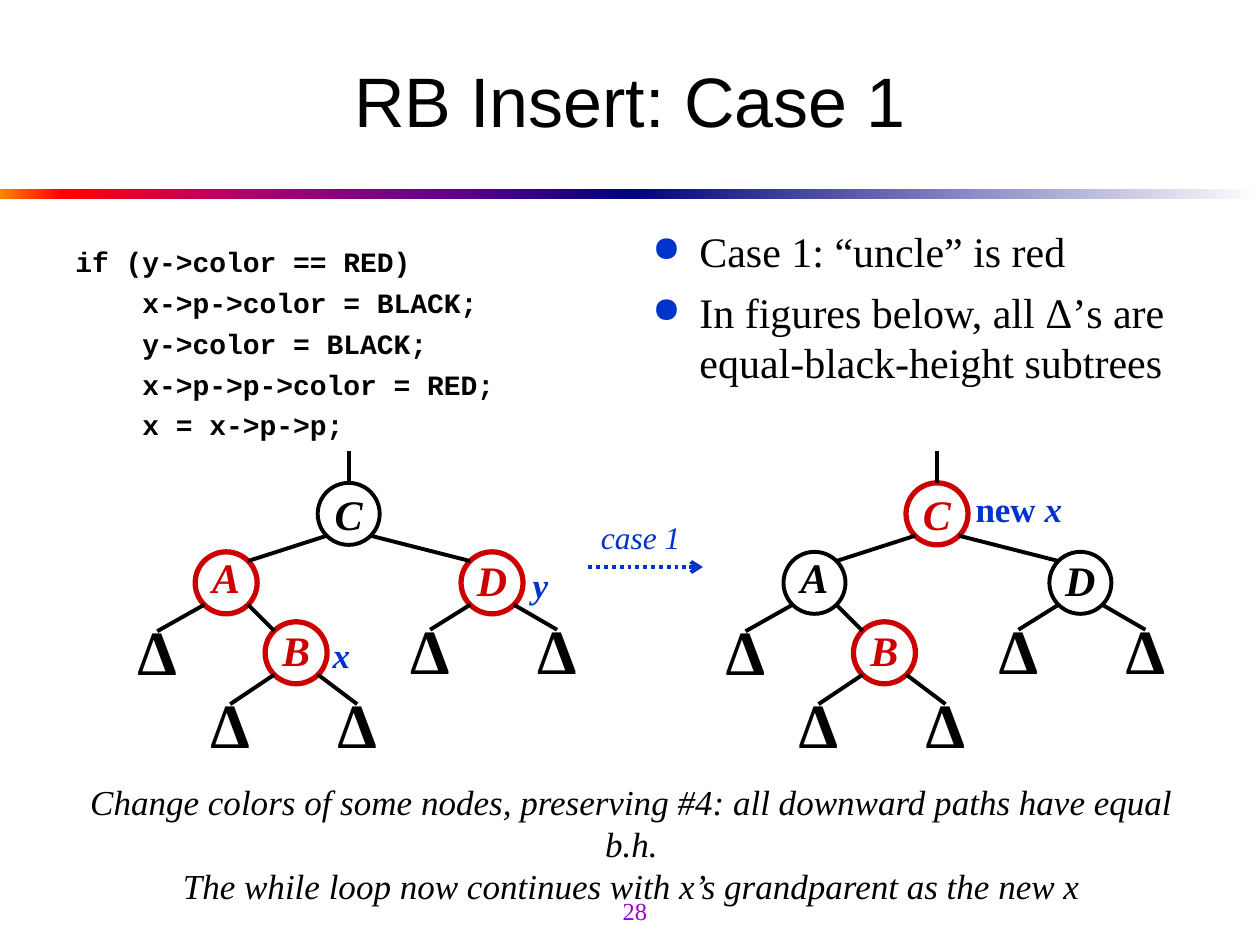
import pptx
import pptx.util
import pptx.dml.color
import pptx.enum.dml
import pptx.enum.shapes
import pptx.enum.text
import pptx.oxml
import pptx.oxml.ns
from lxml import etree

Cm, Pt = pptx.util.Cm, pptx.util.Pt
RGBColor = pptx.dml.color.RGBColor
qn = pptx.oxml.ns.qn
ALIGN = pptx.enum.text.PP_ALIGN
ANCHOR = pptx.enum.text.MSO_ANCHOR
SHAPE = pptx.enum.shapes.MSO_SHAPE

BLACK = RGBColor(0, 0, 0)
WHITE = RGBColor(255, 255, 255)
RED = RGBColor(0xCC, 0, 0)
BLUE = RGBColor(0, 0x33, 0xCC)
PURPLE = RGBColor(0x99, 0, 0xCC)

SERIF = "Times New Roman"
MATH = {"name": SERIF, "bold": True, "italic": True}

prs = pptx.Presentation()
prs.slide_width, prs.slide_height = Cm(25.4), Cm(19.05)
s = prs.slides.add_slide(prs.slide_layouts[6])


def add_text(sp, lines, fmt, color, para, frame):
    """Write lines, each a list of (text, extra font values), into a shape."""
    tf = sp.text_frame
    for key, value in frame.items():
        setattr(tf, key, value)
    for i, runs in enumerate(lines):
        p = tf.paragraphs[0] if i == 0 else tf.add_paragraph()
        for key, value in para.items():
            if i > 0 or key != "space_before":
                setattr(p, key, value)
        for text, extra in runs:
            r = p.add_run()
            r.text = text
            r.font.color.rgb = color
            for key, value in {**fmt, **extra}.items():
                setattr(r.font, key, value)
    return tf


def add_line(x1, y1, x2, y2, color=BLACK):
    c = s.shapes.add_connector(pptx.enum.shapes.MSO_CONNECTOR.STRAIGHT,
                               Cm(x1), Cm(y1), Cm(x2), Cm(y2))
    c.line.color.rgb = color
    c.line.width = Pt(2.25)
    etree.SubElement(c._element.spPr, qn("a:effectLst"))
    return c


# Gradient rule under the title
bars = [
    (0, [(0, "FF8200"), (10, "FF0000"), (35, "BA0066"), (70, "66008F"), (100, "000082")]),
    (12.7, [(0, "000082"), (100, "FFFFFF")]),
]
for left, stops in bars:
    sp = s.shapes.add_shape(SHAPE.RECTANGLE, Cm(left), Cm(3.81), Cm(12.7), Cm(0.2))
    sp.shadow.inherit = False
    sp.line.fill.background()
    sp.fill.gradient()
    sp.fill.gradient_angle = 0
    gs_list = sp._element.spPr.find(".//" + qn("a:gsLst"))
    for gs in list(gs_list):
        gs_list.remove(gs)
    for pos, rgb in stops:
        gs = etree.SubElement(gs_list, qn("a:gs"), pos=str(pos * 1000))
        etree.SubElement(gs, qn("a:srgbClr"), val=rgb)

# Title
sp = s.shapes.add_textbox(Cm(1.27), Cm(0.64), Cm(22.86), Cm(2.75))
add_text(sp, [[("RB Insert: Case 1", {})]], {"name": "Arial", "size": Pt(40)}, BLACK,
         {"alignment": ALIGN.CENTER},
         {"word_wrap": True, "vertical_anchor": ANCHOR.MIDDLE})

# Code
code = [
    "if (y->color == RED)",
    "    x->p->color = BLACK;",
    "    y->color = BLACK;",
    "    x->p->p->color = RED;",
    "    x = x->p->p;",
]
sp = s.shapes.add_textbox(Cm(1.27), Cm(4.8), Cm(11.23), Cm(4.5))
add_text(sp, [[(line, {})] for line in code],
         {"name": "Courier New", "size": Pt(16), "bold": True}, BLACK,
         {"space_before": Pt(4.2)}, {"word_wrap": True})

# Bullets
bullets = ["Case 1: “uncle” is red",
           "In figures below, all Δ’s are equal-black-height subtrees"]
sp = s.shapes.add_textbox(Cm(12.9), Cm(4.42), Cm(11.23), Cm(4.7))
tf = add_text(sp, [[(line, {})] for line in bullets],
              {"name": SERIF, "size": Pt(24)}, BLACK,
              {"space_before": Pt(6)}, {"word_wrap": True})
for p in tf.paragraphs:
    pPr = p._p.get_or_add_pPr()
    pPr.set("marL", str(Cm(0.95)))
    pPr.set("indent", str(-Cm(0.95)))
    bu_clr = etree.SubElement(pPr, qn("a:buClr"))
    etree.SubElement(bu_clr, qn("a:srgbClr"), val=str(BLUE))
    etree.SubElement(pPr, qn("a:buSzPct"), val="85000")
    etree.SubElement(pPr, qn("a:buChar"), char="●")

# Trees: nodes by centre, with line spacing of the letter
RADIUS = 0.625
DIAGONAL = 0.44
nodes = {"C": (7.03, 10.36, 1.0), "A": (4.56, 11.75, 0.7),
         "D": (9.92, 11.75, 0.9), "B": (5.97, 13.16, 0.9)}
subtrees = [("A", 3.17, 13.35), ("B", 4.64, 14.82), ("B", 7.2, 14.82),
            ("D", 8.67, 13.32), ("D", 11.23, 13.32)]
edges = [("C", "A"), ("C", "D"), ("A", "B")]

for dx, red_nodes in [(0, "ADB"), (11.86, "CB")]:
    items = [(name, *place, RED if name in red_nodes else BLACK, {**MATH, "size": Pt(24)})
             for name, place in nodes.items()]
    items += [("Δ", x, y, 0.6, BLACK, {"name": SERIF, "bold": True, "size": Pt(36)})
              for _, x, y in subtrees]
    for text, x, y, spacing, color, fmt in items:
        sp = s.shapes.add_shape(SHAPE.OVAL, Cm(x + dx - RADIUS), Cm(y - RADIUS),
                                Cm(2 * RADIUS), Cm(2 * RADIUS))
        sp.shadow.inherit = False
        if text == "Δ":
            sp.fill.background()
            sp.line.fill.background()
        else:
            sp.fill.solid()
            sp.fill.fore_color.rgb = WHITE
            sp.line.color.rgb = color
            sp.line.width = Pt(3 if color == RED else 2.25)
        add_text(sp, [[(text, {})]], fmt, color,
                 {"alignment": ALIGN.CENTER, "line_spacing": spacing},
                 {"word_wrap": False, "vertical_anchor": ANCHOR.MIDDLE})

    # Edges leave and meet circles on the diagonals
    root_x, root_y, _ = nodes["C"]
    add_line(root_x + dx, root_y - RADIUS, root_x + dx, 9.1)
    for parent, child in edges:
        x1, y1, _ = nodes[parent]
        x2, y2, _ = nodes[child]
        side = DIAGONAL if x2 > x1 else -DIAGONAL
        add_line(x1 + side + dx, y1 + DIAGONAL, x2 - side + dx, y2 - DIAGONAL)
    for parent, x, y in subtrees:
        x1, y1, _ = nodes[parent]
        side = DIAGONAL if x > x1 else -DIAGONAL
        add_line(x1 + side + dx, y1 + DIAGONAL, x + dx, y - RADIUS)

# Dotted arrow between the trees
c = add_line(11.86, 11.43, 14.17, 11.43, BLUE)
c.line.dash_style = pptx.enum.dml.MSO_LINE.ROUND_DOT
etree.SubElement(c.line._get_or_add_ln(), qn("a:tailEnd"), type="arrow")

# Labels, closing note and page number
note = [[("Change colors of some nodes, preserving #4: all downward paths have equal b.h.", {})],
        [("The while loop now continues with x’s grandparent as the new x", {})]]
new_x = [[("new", {"italic": False}), (" x", {})]]
case = {"name": SERIF, "italic": True}
labels = [
    (6.45, 12.65, 0.86, 1.09, [[("x", {})]], {**MATH, "size": Pt(20)}, BLUE, False),
    (10.49, 11.23, 0.81, 1.09, [[("y", {})]], {**MATH, "size": Pt(20)}, BLUE, False),
    (19.41, 9.7, 2.26, 1.09, new_x, {**MATH, "size": Pt(20)}, BLUE, False),
    (11.86, 10.31, 2.11, 1.02, [[("case 1", {})]], {**case, "size": Pt(18)}, BLUE, False),
    (1.18, 15.6, 23.1, 2.8, note, {**case, "size": Pt(20)}, BLACK, True),
    (10.16, 17.73, 5.28, 1.27, [[("28", {})]], {"name": SERIF, "size": Pt(14)}, PURPLE, False),
]
for x, y, w, h, lines, fmt, color, wrap in labels:
    sp = s.shapes.add_textbox(Cm(x), Cm(y), Cm(w), Cm(h))
    add_text(sp, lines, fmt, color, {"alignment": ALIGN.CENTER},
             {"word_wrap": wrap, "vertical_anchor": ANCHOR.MIDDLE})

prs.save("out.pptx")
